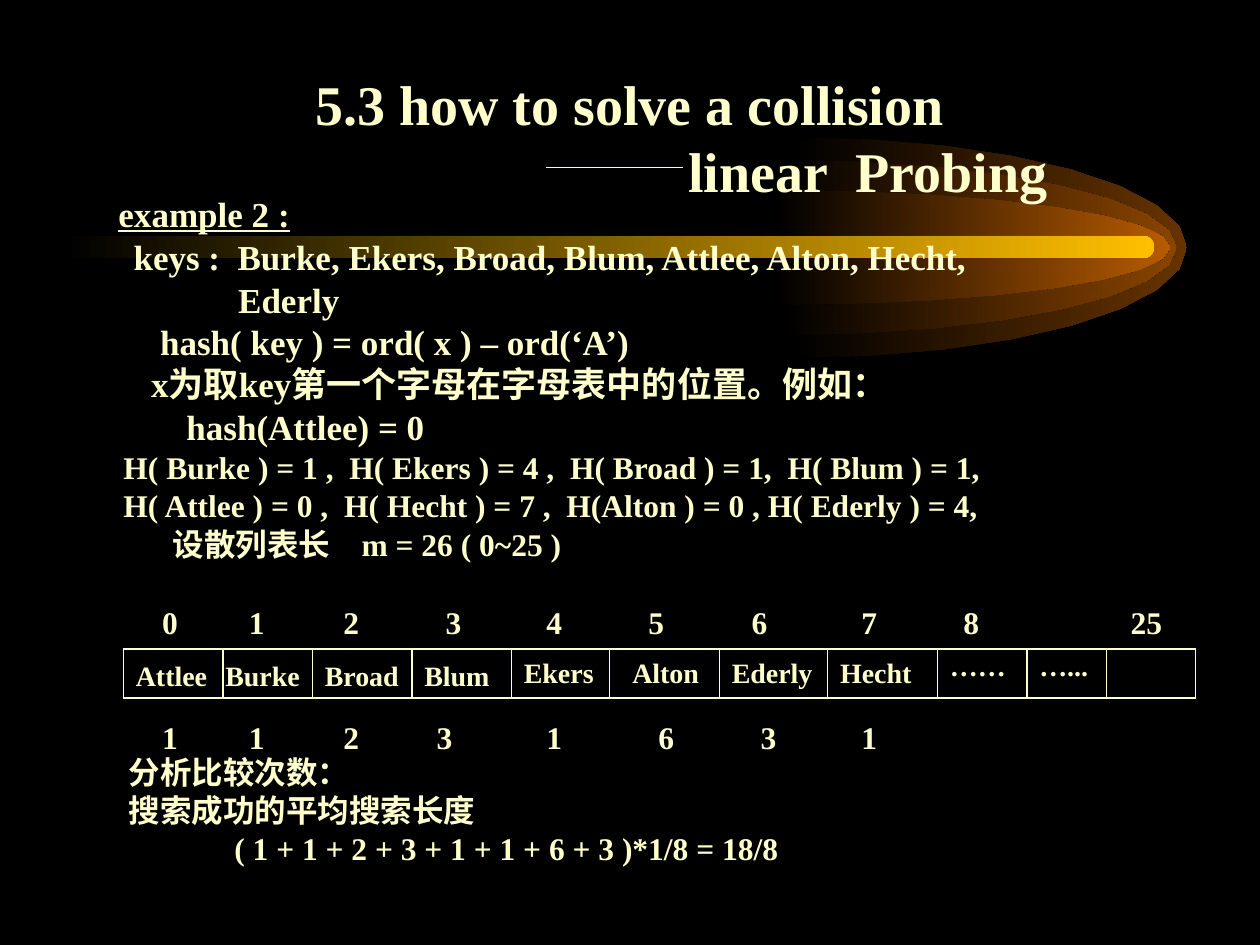
import math

import pptx
import pptx.dml.color
import pptx.enum.shapes
import pptx.enum.text
import pptx.oxml
import pptx.oxml.ns
import pptx.util
from pptx.util import Inches

COLORS = {
    "background": "000000",
    "text": "FFFFCC",
    "outer glow": "663300",
    "middle glow": "894400",
    "inner glow": "B75B00",
    "beam": "FFBF00",
}
FONT = "Times New Roman"

# left, top, height, colour
GLOWS = [
    (6.29, 1.09, 1.75, "outer glow"),
    (6.21, 1.27, 1.39, "middle glow"),
    (6.16, 1.51, 0.91, "inner glow"),
]

# text, size, left margin, space before
BODY_LINES = [
    ("example 2 :", 20, 0.09, 0),
    ("keys :  Burke, Ekers, Broad, Blum, Attlee, Alton, Hecht,", 20, 0.21, 5.6),
    ("Ederly", 20, 1.04, 5),
    ("hash( key ) = ord( x ) – ord(‘A’)", 20, 0.42, 5),
    ("x为取key第一个字母在字母表中的位置。例如：", 20, 0.35, 5),
    ("hash(Attlee) = 0", 20, 0.63, 5),
    ("H( Burke ) = 1 ,  H( Ekers ) = 4 ,  H( Broad ) = 1,  H( Blum ) = 1,", 18, 0.13, 5),
    ("H( Attlee ) = 0 ,  H( Hecht ) = 7 ,  H(Alton ) = 0 , H( Ederly ) = 4,", 18, 0.13, 4.5),
    ("设散列表长\tm = 26 ( 0~25 )", 18, 0.52, 4.5),
    ("分析比较次数：", 18, 0.17, 113),
    ("搜索成功的平均搜索长度", 18, 0.17, 4.5),
    ("( 1 + 1 + 2 + 3 + 1 + 1 + 6 + 3 )*1/8 = 18/8", 18, 1.01, 4.5),
]

# number and its centre
ADDRESSES = [("0", 0.5), ("1", 1.19), ("2", 1.94), ("3", 2.75), ("4", 3.55), ("5", 4.36),
             ("6", 5.18), ("7", 6.05), ("8", 6.86), ("25", 8.25)]
PROBE_COUNTS = [("1", 0.5), ("1", 1.19), ("2", 1.94), ("3", 2.68), ("1", 3.55), ("6", 4.44),
                ("3", 5.25), ("1", 6.05)]

# key, slot width, shift right, shift down, label width
SLOTS = [
    ("Attlee", 0.79, 0, 0.03, 0.79), ("Burke", 0.71, -0.08, 0.03, 0.94),
    ("Broad", 0.79, 0, 0.03, 0.87), ("Blum", 0.79, 0, 0.03, 0.94),
    ("Ekers", 0.78, 0, 0, 0.87), ("Alton", 0.87, 0.08, 0, 0.87),
    ("Ederly", 0.86, 0, 0, 0.87), ("Hecht", 0.87, 0, 0, 0.87),
    ("……", 0.71, 0, -0.05, 0.71), ("…...", 0.63, 0, -0.05, 0.63),
    ("", 0.71, 0, 0, 0),
]


def rgb(name):
    return pptx.dml.color.RGBColor.from_string(COLORS[name])


def set_values(target, values):
    for name, value in values.items():
        setattr(target, name, value)


def set_font(paragraph, size):
    paragraph.font.color.rgb = rgb("text")
    set_values(paragraph.font, {"name": FONT, "size": pptx.util.Pt(size), "bold": True})


def add_element(parent, tag, **attributes):
    child = pptx.oxml.parse_xml(f"<a:{tag} {pptx.oxml.ns.nsdecls('a')}/>")
    for name, value in attributes.items():
        child.set(name, str(value))
    parent.append(child)
    return child


def set_indent(paragraph, left):
    properties = paragraph._p.get_or_add_pPr()
    properties.set("marL", str(Inches(left)))
    properties.set("indent", "0")
    add_element(properties, "buNone")


def add_rule(shapes, start_x, start_y, end_x, end_y):
    rule = shapes.add_connector(pptx.enum.shapes.MSO_CONNECTOR.STRAIGHT,
                                start_x, start_y, end_x, end_y)
    rule.line.color.rgb = rgb("text")
    rule.line.width = pptx.util.Pt(0.75)
    add_element(rule.element.spPr, "effectLst")


def add_label(shapes, left, top, width, text, size, centers=()):
    """Add a line of text, with centred tab stops where given."""
    label = shapes.add_textbox(left, top, width, Inches(0.37))
    label.text_frame.word_wrap = True
    paragraph = label.text_frame.paragraphs[0]
    paragraph.text = text
    if centers:
        stops = add_element(paragraph._p.get_or_add_pPr(), "tabLst")
        for center in centers:
            add_element(stops, "tab", pos=Inches(center), algn="ctr")
    set_font(paragraph, size)


def fade_in(shape, color):
    shape.shadow.inherit = False
    shape.line.fill.background()
    shape.fill.gradient()
    shape.fill.gradient_angle = 0
    for stop, name in zip(shape.fill.gradient_stops, ("background", color)):
        stop.color.rgb = rgb(name)


def add_half_ellipse(shapes, left, top, width, height, color):
    steps = 16
    angles = [math.pi * (step / steps - 0.5) for step in range(steps + 1)]
    points = [
        (int(left + width * math.cos(angle)), int(top + height / 2 * (1 + math.sin(angle))))
        for angle in angles
    ]
    outline = shapes.build_freeform(*points[0])
    outline.add_line_segments(points[1:], close=True)
    fade_in(outline.convert_to_shape(), color)


def add_comet(slide):
    """Draw the glowing beam behind the title and body."""
    comet = slide.shapes.add_group_shape()
    for left, top, height, color in GLOWS:
        add_half_ellipse(comet.shapes, Inches(left), Inches(top), Inches(3.13),
                         Inches(height), color)
    beam = comet.shapes.add_shape(pptx.enum.shapes.MSO_SHAPE.ROUNDED_RECTANGLE,
                                  Inches(0.5), Inches(1.87), Inches(8.66), Inches(0.18))
    beam.adjustments[0] = 0.5
    fade_in(beam, "beam")
    slide.shapes.title.element.addprevious(comet.element)


def fill_title(slide, left, top, width, height):
    title = slide.shapes.title
    set_values(title, {"left": left, "top": top, "width": width, "height": height})
    frame = title.text_frame
    set_values(frame, {"vertical_anchor": pptx.enum.text.MSO_ANCHOR.BOTTOM, "word_wrap": True,
                       "auto_size": pptx.enum.text.MSO_AUTO_SIZE.NONE})
    frame.text = "5.3 how to solve a collision\nlinear  Probing"
    for paragraph, indent in zip(frame.paragraphs, (0, 3.78)):
        set_indent(paragraph, indent)
        set_values(paragraph, {"alignment": pptx.enum.text.PP_ALIGN.CENTER,
                               "space_before": pptx.util.Pt(0)})
        set_font(paragraph, 32)
    dash_y = top + Inches(0.91)
    add_rule(slide.shapes, left + Inches(3.58), dash_y, left + Inches(4.67), dash_y)


def fill_body(slide, left, top, width, height):
    body = slide.placeholders[1]
    set_values(body, {"left": left, "top": top, "width": width, "height": height})
    frame = body.text_frame
    set_values(frame, {"word_wrap": True, "auto_size": pptx.enum.text.MSO_AUTO_SIZE.NONE})
    frame.text = "\n".join(line[0] for line in BODY_LINES)
    for paragraph, (_, size, indent, before) in zip(frame.paragraphs, BODY_LINES):
        set_indent(paragraph, indent)
        set_values(paragraph, {"line_spacing": 0.8, "space_before": pptx.util.Pt(before)})
        set_font(paragraph, size)
    frame.paragraphs[0].font.underline = True


def add_number_row(slide, left, top, width, numbers):
    text = "".join(f"\t{number}" for number, _ in numbers)
    add_label(slide.shapes, left, top, width, text, 18, [center for _, center in numbers])


def add_hash_slots(slide, left, top, height):
    slots = slide.shapes.add_group_shape().shapes
    right = left + Inches(sum(slot[1] for slot in SLOTS))
    bottom = top + height
    for y in (top, bottom):
        add_rule(slots, left, y, right, y)
    x = left
    add_rule(slots, x, top, x, bottom)
    for key, slot_width, shift, drop, label_width in SLOTS:
        if key:
            add_label(slots, x + Inches(shift), top + Inches(drop), Inches(label_width), key, 16)
        x += Inches(slot_width)
        add_rule(slots, x, top, x, bottom)


def main():
    deck = pptx.Presentation()
    deck.slide_width, deck.slide_height = Inches(10), Inches(7.5)
    slide = deck.slides.add_slide(deck.slide_layouts[1])
    slide.background.fill.solid()
    slide.background.fill.fore_color.rgb = rgb("background")
    add_comet(slide)
    fill_title(slide, Inches(0.75), Inches(0.42), Inches(8.5), Inches(1.25))
    fill_body(slide, Inches(0.75), Inches(1.54), Inches(8.98), Inches(5.71))
    add_number_row(slide, Inches(0.75), Inches(4.74), Inches(8.98), ADDRESSES)
    add_number_row(slide, Inches(0.75), Inches(5.65), Inches(8.98), PROBE_COUNTS)
    add_hash_slots(slide, Inches(0.98), Inches(5.15), Inches(0.39))
    deck.save("out.pptx")


if __name__ == "__main__":
    main()
